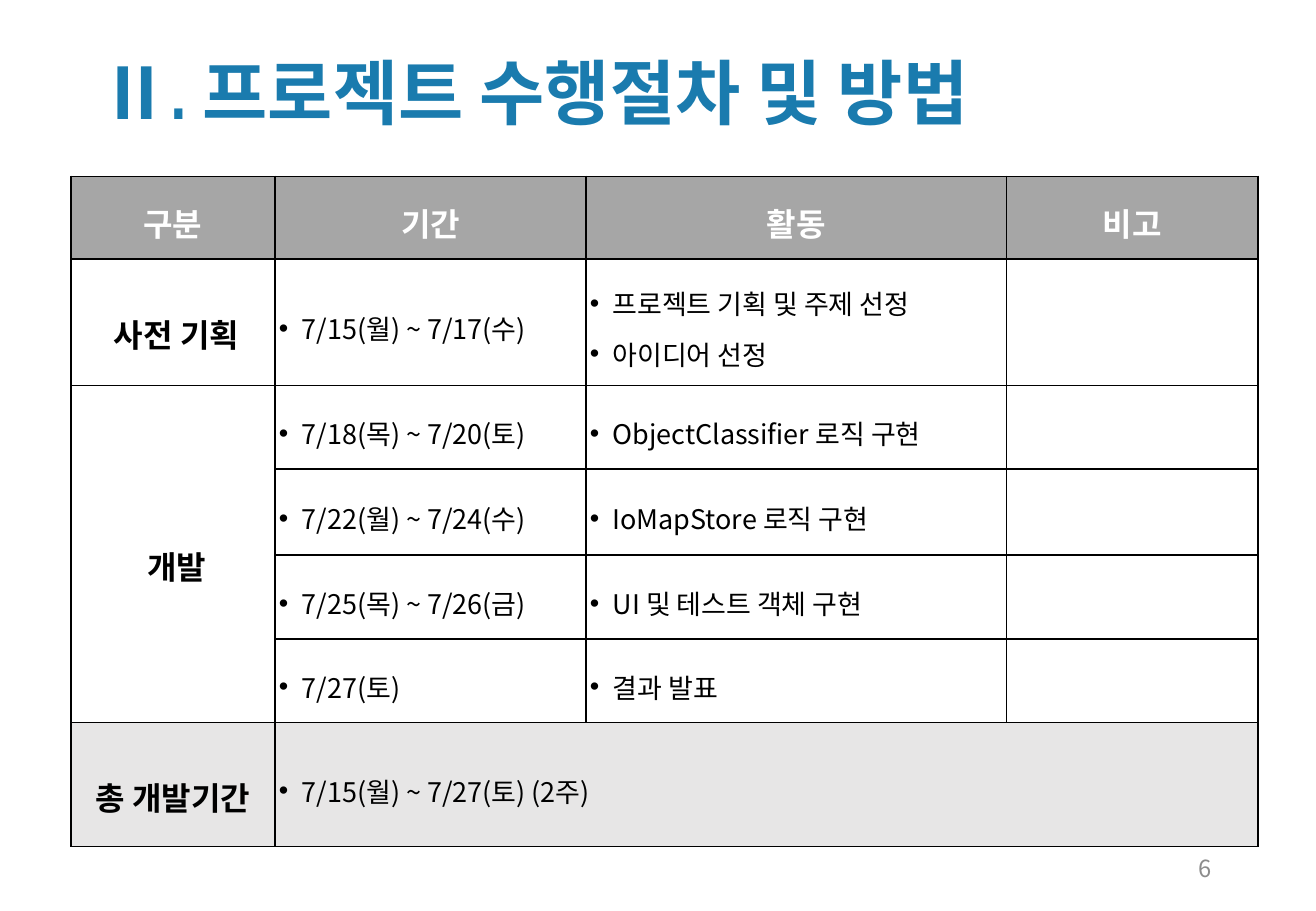
import pptx
import pptx.dml.color
import pptx.enum.text
import pptx.oxml
import pptx.oxml.ns
import pptx.util
from pptx.util import Cm

ALIGN = pptx.enum.text.PP_ALIGN
ANCHOR = pptx.enum.text.MSO_ANCHOR
NAMESPACE = pptx.oxml.ns.nsdecls("a")
BODY_FONT = "Noto Sans CJK KR"


def color(value):
    return pptx.dml.color.RGBColor.from_string(value)


def write(paragraph, text, size=16, bold=False, fill="000000", font=BODY_FONT,
          east_asian=BODY_FONT, align=ALIGN.LEFT, spacing=None, bullet=False):
    """Add a formatted run to a paragraph."""
    paragraph.alignment = align
    if spacing:
        paragraph.line_spacing = spacing
    if bullet:
        properties = paragraph._p.get_or_add_pPr()
        properties.set("marL", str(Cm(0.48)))
        properties.set("indent", str(-Cm(0.48)))
        for tag in ('buFont {} typeface="Arial"', 'buChar {} char="•"'):
            properties.append(pptx.oxml.parse_xml(f"<a:{tag.format(NAMESPACE)}/>"))
    run = paragraph.add_run()
    run.text = text
    run.font.size = pptx.util.Pt(size)
    run.font.bold = bold
    run.font.color.rgb = color(fill)
    run.font.name = font
    run.font._element.find(pptx.oxml.ns.qn("a:latin")).addnext(
        pptx.oxml.parse_xml(f'<a:ea {NAMESPACE} typeface="{east_asian}"/>'))


class SlideBuilder:
    accent = "1A7BAE"
    header_fill = "A6A6A6"
    total_fill = "E7E6E6"
    muted = "8C8C8C"
    border = "000000"

    def __init__(self, presentation):
        self.slide = presentation.slides.add_slide(presentation.slide_layouts[6])

    def text_box(self, left, top, width, height, anchor=ANCHOR.TOP):
        """Add a text box and return its first paragraph."""
        shape = self.slide.shapes.add_textbox(Cm(left), Cm(top), Cm(width), Cm(height))
        frame = shape.text_frame
        frame.word_wrap = True
        frame.vertical_anchor = anchor
        frame.margin_left = frame.margin_right = Cm(0.3)
        frame.margin_top = frame.margin_bottom = Cm(0.15)
        return frame.paragraphs[0]

    def table(self, left, top, widths, heights):
        frame = self.slide.shapes.add_table(
            len(heights), len(widths), Cm(left), Cm(top), Cm(sum(widths)), Cm(sum(heights)))
        table = frame.table
        table.first_row = table.horz_banding = False
        for column, width in zip(table.columns, widths):
            column.width = Cm(width)
        for row, height in zip(table.rows, heights):
            row.height = Cm(height)
        for cell in table.iter_cells():
            self.cell_borders(cell)
            cell.fill.background()
        return table

    def cell_borders(self, cell):
        properties = cell._tc.get_or_add_tcPr()
        for side in "LRTB":
            properties.append(pptx.oxml.parse_xml(
                f'<a:ln{side} {NAMESPACE} w="12700"><a:solidFill>'
                f'<a:srgbClr val="{self.border}"/></a:solidFill></a:ln{side}>'))

    def fill_row(self, row, fill):
        for cell in row.cells:
            cell.fill.solid()
            cell.fill.fore_color.rgb = color(fill)

    def cell_text(self, cell, text, indent=0, **text_format):
        cell.vertical_anchor = ANCHOR.MIDDLE
        cell.margin_left = Cm(indent)
        cell.margin_right = cell.margin_top = cell.margin_bottom = 0
        for index, line in enumerate(text.split("\n")):
            frame = cell.text_frame
            paragraph = frame.add_paragraph() if index else frame.paragraphs[0]
            write(paragraph, line, **text_format)


def main():
    presentation = pptx.Presentation()
    presentation.slide_width = Cm(27.51)
    presentation.slide_height = Cm(19.05)
    builder = SlideBuilder(presentation)

    # Schedule table
    table = builder.table(1.48, 3.69, [4.27, 6.5, 8.79, 5.26],
                          [1.73, 2.64, 1.75, 1.8, 1.75, 1.75, 2.59])
    builder.fill_row(table.rows[0], builder.header_fill)
    builder.fill_row(table.rows[6], builder.total_fill)
    table.cell(2, 0).merge(table.cell(5, 0))
    table.cell(6, 1).merge(table.cell(6, 3))

    # Header row
    for column, heading in enumerate(["구분", "기간", "활동", "비고"]):
        builder.cell_text(table.cell(0, column), heading, size=19, bold=True,
                          fill="FFFFFF", align=ALIGN.CENTER, spacing=1.2)

    # Phase names
    for row, phase, indent in [(1, "사전 기획", 0.15), (2, "개발", 0.15), (6, "총 개발기간", 0)]:
        builder.cell_text(table.cell(row, 0), phase, indent, size=19, bold=True,
                          align=ALIGN.CENTER, spacing=1.5)

    # Periods and activities
    schedule = [
        ("7/15(월) ~ 7/17(수)", "프로젝트 기획 및 주제 선정\n아이디어 선정"),
        ("7/18(목) ~ 7/20(토)", "ObjectClassifier 로직 구현"),
        ("7/22(월) ~ 7/24(수)", "IoMapStore 로직 구현"),
        ("7/25(목) ~ 7/26(금)", "UI 및 테스트 객체 구현"),
        ("7/27(토)", "결과 발표"),
        ("7/15(월) ~ 7/27(토) (2주)",),
    ]
    for row, entries in enumerate(schedule, start=1):
        for column, entry in enumerate(entries, start=1):
            builder.cell_text(table.cell(row, column), entry, 0.08, spacing=1.3, bullet=True)

    # Title
    title = builder.text_box(1.78, 0.86, 21.95, 2.11)
    title_format = {"size": 42, "bold": True, "fill": builder.accent}
    write(title, "Ⅱ", font="Noto Sans CJK JP", east_asian="Noto Sans CJK JP", **title_format)
    write(title, ". 프로젝트 수행절차 및 방법", font="Arial Narrow", **title_format)

    # Page number
    page_number = builder.text_box(19.43, 17.65, 6.2, 1.02, ANCHOR.MIDDLE)
    write(page_number, "6", size=14, fill=builder.muted, align=ALIGN.RIGHT)

    presentation.save("out.pptx")


if __name__ == "__main__":
    main()
